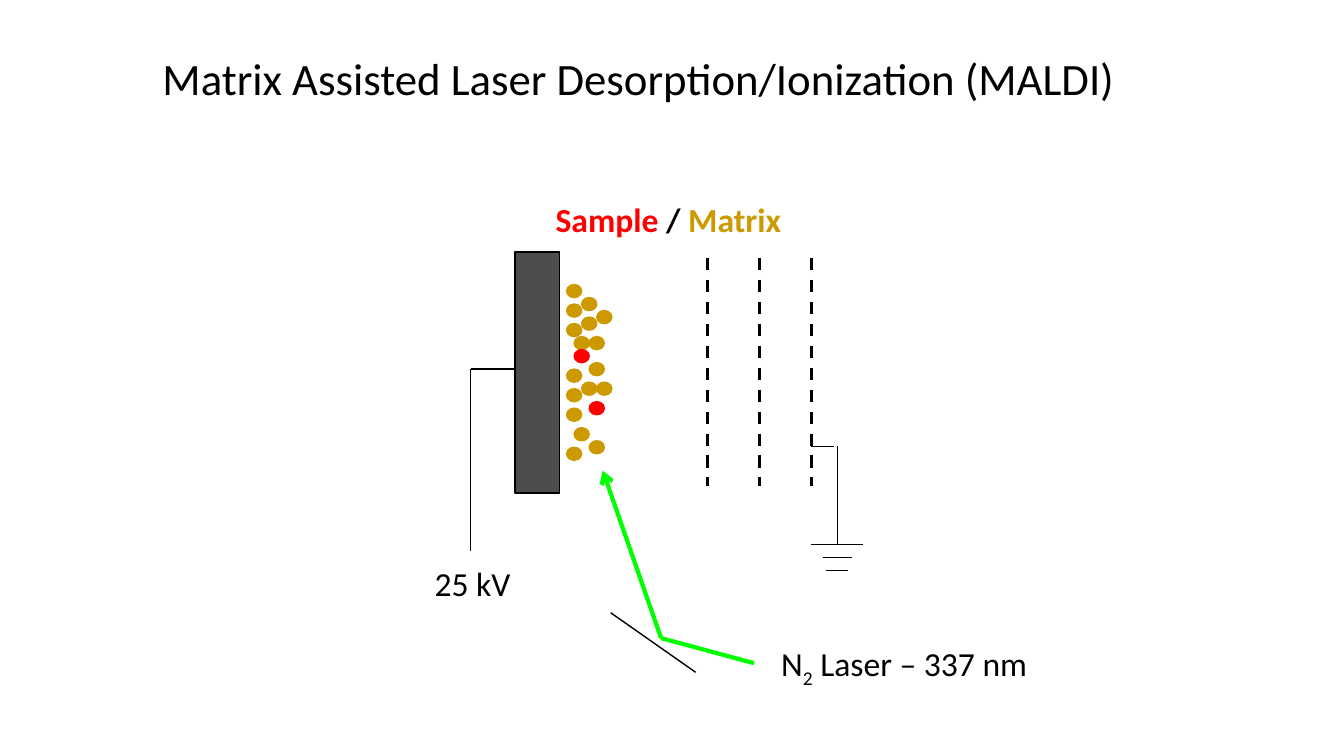
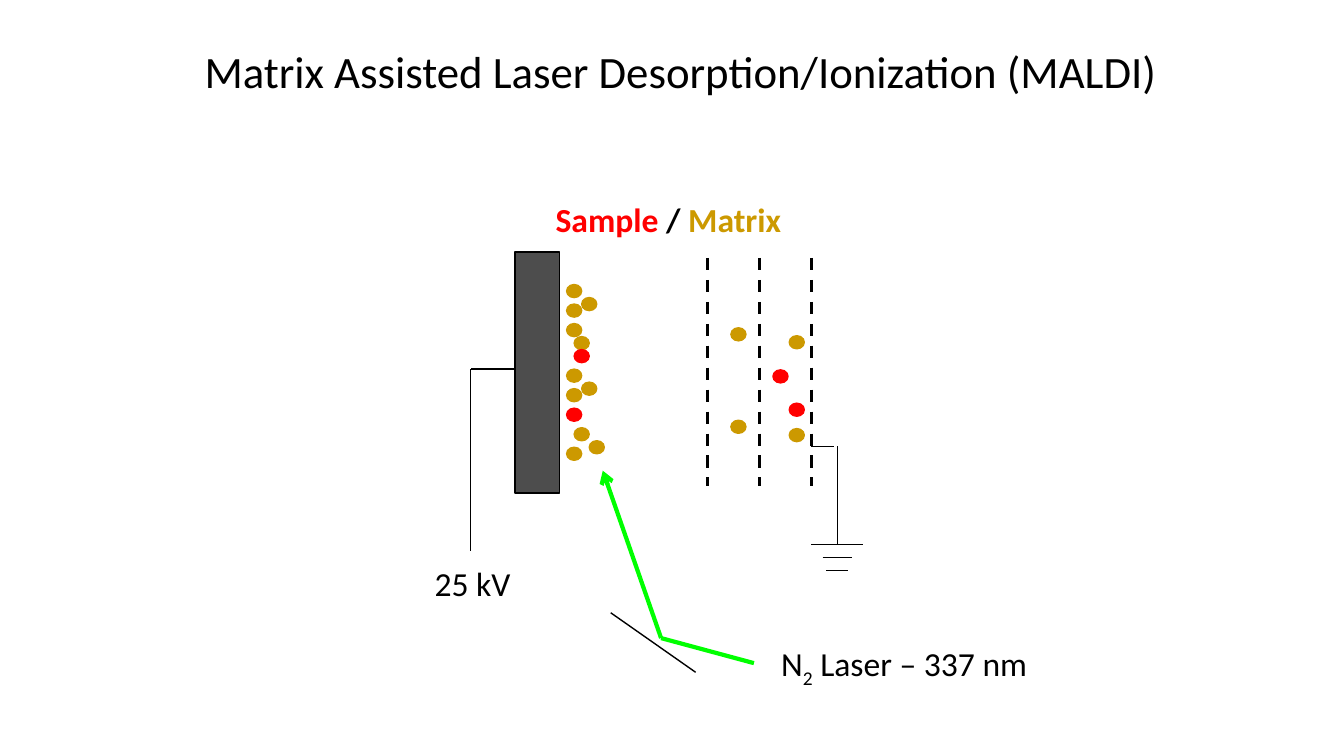
from pptx import Presentation
from pptx.dml.color import RGBColor
from pptx.enum.dml import MSO_LINE
from pptx.enum.shapes import MSO_CONNECTOR, MSO_SHAPE
from pptx.enum.text import MSO_ANCHOR, MSO_AUTO_SIZE, PP_ALIGN
from pptx.oxml.ns import qn
from pptx.util import Cm, Pt
from lxml.etree import SubElement

# Shared style
FONT = "Calibri"
BLACK, PLATE = "000000", "4D4D4D"
SAMPLE, MATRIX, LASER = "FF0000", "CC9900", "00FF00"
TITLE = "Matrix Assisted Laser Desorption/Ionization (MALDI)"

# Fine grid on which the beads lie in front of the plate (cm)
GRID_X, GRID_Y = 14.28, 7.17
COL_STEP, ROW_STEP = 0.19, 4.1 / 25
BEAD_W, BEAD_H = 0.38, 0.33

# Beads as (column, row) on the grid
MATRIX_STAYING = [(0, 0), (2, 2), (0, 3), (0, 6), (1, 8), (0, 13),
                  (0, 16), (2, 15), (1, 22), (0, 25), (3, 24)]
SAMPLE_STAYING = [(1, 10)]
MATRIX_LEAVING = [(4, 4), (2, 5), (3, 8), (3, 12), (4, 15), (0, 19)]
SAMPLE_LEAVING = [(3, 18)]
SAMPLE_EXPOSED = [(0, 19)]

# Beads in flight between the electrodes, as (left, top) in cm
MATRIX_FLYING = [(18.42, 8.26), (18.42, 10.59), (19.89, 8.46), (19.89, 10.8)]
SAMPLE_FLYING = [(19.48, 9.32), (19.89, 10.16)]


def rgb(value):
    return RGBColor.from_string(value)


def add_run(p, text, color=BLACK, size=24, bold=False, baseline=None):
    r = p.add_run()
    r.text = text
    r.font.name, r.font.size, r.font.bold = FONT, Pt(size), bold
    r.font.color.rgb = rgb(color)
    if baseline is not None:
        r.font._element.set("baseline", str(baseline))


def add_title(s, left, top, width):
    sp = s.shapes.title
    sp.left, sp.top, sp.width, sp.height = Cm(left), Cm(top), Cm(width), Cm(3.18)
    tf = sp.text_frame
    tf.vertical_anchor = MSO_ANCHOR.MIDDLE
    p = tf.paragraphs[0]
    p.alignment, p.line_spacing = PP_ALIGN.LEFT, 0.9
    add_run(p, TITLE, size=32)


def add_label(s, left, top, width, *runs):
    tf = s.shapes.add_textbox(Cm(left), Cm(top), Cm(width), Cm(1.27)).text_frame
    tf.word_wrap = False
    tf.auto_size = MSO_AUTO_SIZE.SHAPE_TO_FIT_TEXT
    p = tf.paragraphs[0]
    p.alignment = PP_ALIGN.CENTER
    for text, style in runs:
        add_run(p, text, **style)


def add_solid(s, kind, left, top, width, height, fill, line):
    sp = s.shapes.add_shape(kind, Cm(left), Cm(top), Cm(width), Cm(height))
    sp.shadow.inherit = False
    sp.fill.solid()
    sp.fill.fore_color.rgb = rgb(fill)
    sp.line.color.rgb = rgb(line)
    sp.line.width = Pt(1)


def add_line(s, x1, y1, x2, y2, color=BLACK, width=1, dash=None, arrow=False):
    cn = s.shapes.add_connector(MSO_CONNECTOR.STRAIGHT, Cm(x1), Cm(y1), Cm(x2), Cm(y2))
    cn.line.color.rgb = rgb(color)
    cn.line.width = Pt(width)
    if dash:
        cn.line.dash_style = dash
    if arrow:
        SubElement(cn.line._get_or_add_ln(), qn("a:headEnd"), type="arrow")
    SubElement(cn._element.spPr, qn("a:effectLst"))


def add_beads(s, places, color):
    for left, top in places:
        add_solid(s, MSO_SHAPE.OVAL, left, top, BEAD_W, BEAD_H, color, color)


def on_grid(cells):
    return [(GRID_X + col * COL_STEP, GRID_Y + row * ROW_STEP) for col, row in cells]


def add_source(s):
    # Sample plate and its high-voltage wire
    add_label(s, 13.72, 4.88, 6.25, ("Sample", dict(color=SAMPLE, bold=True)),
              (" / ", dict(bold=True)), ("Matrix", dict(color=MATRIX, bold=True)))
    add_solid(s, MSO_SHAPE.RECTANGLE, 12.98, 6.35, 1.12, 6.07, PLATE, BLACK)
    add_line(s, 12.98, 9.3, 11.86, 9.3)
    add_line(s, 11.86, 9.3, 11.86, 13.89)
    add_label(s, 10.69, 14.05, 2.44, ("25 kV", {}))


def add_electrodes(s):
    for i in range(3):
        x = 17.83 + i * 1.31
        add_line(s, x, 6.5, x, 12.24, width=2.25, dash=MSO_LINE.DASH)
    # Ground connection
    ground_x, ground_y = 21.1, 13.72
    add_line(s, 20.45, 11.25, 21.01, 11.25)
    add_line(s, ground_x, 11.25, ground_x, ground_y)
    for i, half in enumerate((0.65, 0.37, 0.28)):
        y = ground_y + i * 0.33
        add_line(s, ground_x - half, y, ground_x + half, y)


def add_laser(s):
    # Beam reflected by a mirror onto the sample
    add_line(s, 15.19, 11.86, 16.66, 16.08, LASER, 3, arrow=True)
    add_line(s, 16.66, 16.08, 19, 16.71, LASER, 3)
    add_line(s, 15.39, 15.44, 17.53, 16.94)
    add_label(s, 19.38, 16.08, 6.81, ("N", {}), ("2", dict(baseline=-25000)),
              (" Laser – 337 nm", {}))


def add_maldi_slide(prs, title_box, matrix, sample):
    s = prs.slides.add_slide(prs.slide_layouts[5])
    add_title(s, *title_box)
    add_source(s)
    add_beads(s, matrix, MATRIX)
    add_beads(s, sample, SAMPLE)
    add_electrodes(s)
    add_laser(s)


def main():
    prs = Presentation()
    prs.slide_width, prs.slide_height = Cm(33.87), Cm(19.05)
    # Before desorption
    add_maldi_slide(prs, (3.84, 0.46, 27.99),
                    on_grid(MATRIX_STAYING + MATRIX_LEAVING),
                    on_grid(SAMPLE_STAYING + SAMPLE_LEAVING))
    # Ions accelerated between the electrodes
    add_maldi_slide(prs, (4.9, 0.28, 24.87),
                    on_grid(MATRIX_STAYING) + MATRIX_FLYING,
                    on_grid(SAMPLE_STAYING + SAMPLE_EXPOSED) + SAMPLE_FLYING)
    prs.save("out.pptx")


if __name__ == "__main__":
    main()
